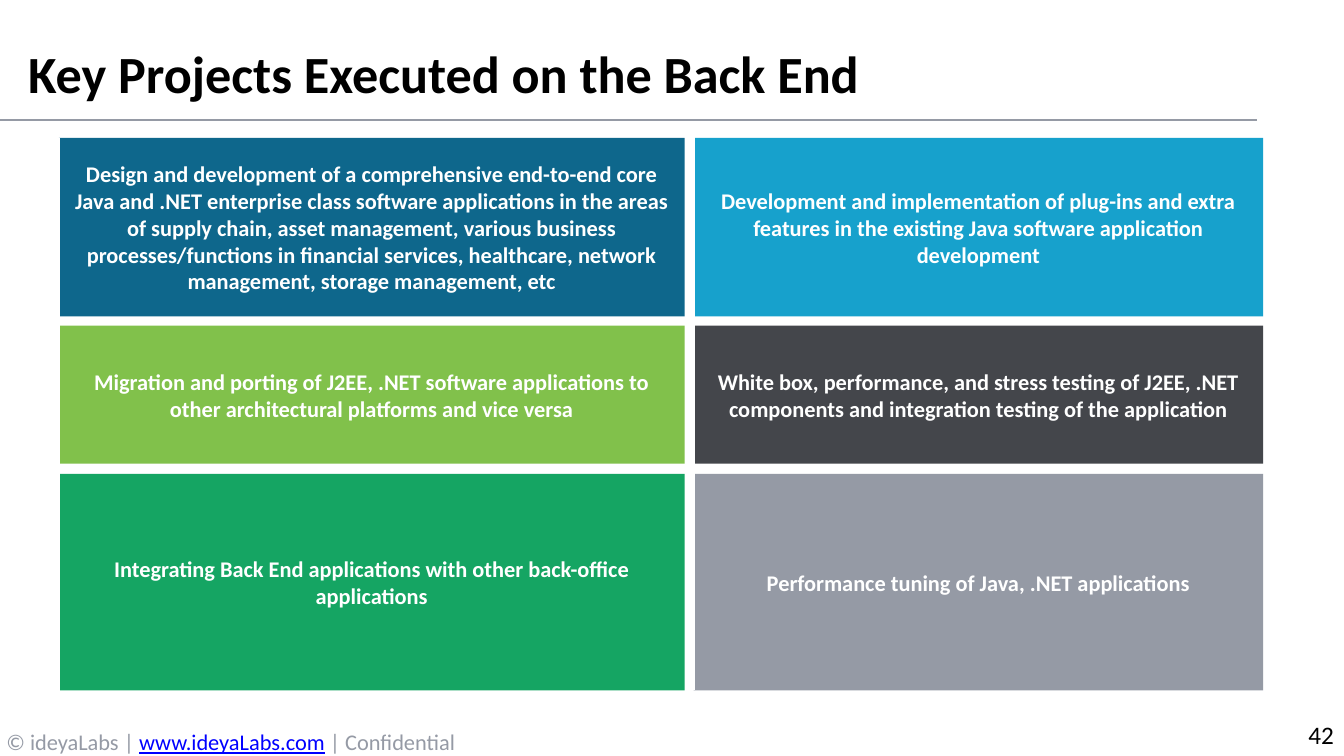
from lxml import etree
from pptx import Presentation
from pptx.dml.color import RGBColor
from pptx.enum.shapes import MSO_CONNECTOR, MSO_SHAPE
from pptx.enum.text import MSO_ANCHOR, PP_ALIGN
from pptx.oxml.ns import qn
from pptx.util import Pt

STRAIGHT = MSO_CONNECTOR.STRAIGHT
RECTANGLE = MSO_SHAPE.RECTANGLE
TOP, MIDDLE, BOTTOM = MSO_ANCHOR.TOP, MSO_ANCHOR.MIDDLE, MSO_ANCHOR.BOTTOM
LEFT, CENTER, RIGHT = PP_ALIGN.LEFT, PP_ALIGN.CENTER, PP_ALIGN.RIGHT

BLACK = RGBColor(0x00, 0x00, 0x00)
WHITE = RGBColor(0xFF, 0xFF, 0xFF)
GRAY = RGBColor(0x95, 0x9A, 0xA5)
LINK_BLUE = RGBColor(0x00, 0x00, 0xFF)
DARK_BLUE = RGBColor(0x0E, 0x67, 0x8C)
LIGHT_BLUE = RGBColor(0x17, 0xA1, 0xCC)
LIME = RGBColor(0x81, 0xC1, 0x4B)
CHARCOAL = RGBColor(0x44, 0x46, 0x4B)
GREEN = RGBColor(0x15, 0xA5, 0x63)

FONT = "Calibri"
TITLE_FORMAT = {"size": Pt(37.3), "bold": True}
NUMBER_FORMAT = {"size": Pt(18)}
FOOTER_FORMAT = {"size": Pt(16)}
PROJECT_FORMAT = {"size": Pt(16), "bold": True}

# (left, width) of each column and (top, height) of each row
COLUMNS = [(42, 447), (495.4, 406.8)]
ROWS = [(98.6, 127.5), (232.6, 98.6), (338.4, 154.8)]
PROJECTS = [
    [("Design and development of a comprehensive end-to-end core Java and .NET "
      "enterprise class software applications in the areas of supply chain, asset "
      "management, various business processes/functions in financial services, "
      "healthcare, network management, storage management, etc", DARK_BLUE),
     ("Development and implementation of plug-ins and extra features in the "
      "existing Java software application development", LIGHT_BLUE)],
    [("Migration and porting of J2EE, .NET software applications to other "
      "architectural platforms and vice versa", LIME),
     ("White box, performance, and stress testing of J2EE, .NET components and "
      "integration testing of the application", CHARCOAL)],
    [("Integrating Back End applications with other back-office applications", GREEN),
     ("Performance tuning of Java, .NET applications", GRAY)],
]


def write_text(shape, runs, font_format, alignment, anchor):
    """Fill the shape with one paragraph of (text, colour, underline) runs."""
    frame = shape.text_frame
    frame.word_wrap = True
    frame.vertical_anchor = anchor
    paragraph = frame.paragraphs[0]
    paragraph.alignment = alignment
    for text, color, underline in runs:
        run = paragraph.add_run()
        run.text = text
        values = {"name": FONT, "underline": underline, **font_format}
        for name, value in values.items():
            setattr(run.font, name, value)
        run.font.color.rgb = color


def add_text(slide, box, runs, font_format, alignment, anchor):
    shape = slide.shapes.add_textbox(*map(Pt, box))
    write_text(shape, runs, font_format, alignment, anchor)


def add_project(slide, box, text, color):
    shape = slide.shapes.add_shape(RECTANGLE, *map(Pt, box))
    shape.shadow.inherit = False
    shape.fill.solid()
    shape.fill.fore_color.rgb = color
    shape.line.fill.background()
    write_text(shape, [(text, WHITE, False)], PROJECT_FORMAT, CENTER, MIDDLE)


def add_line(slide, ends, color, width):
    line = slide.shapes.add_connector(STRAIGHT, *map(Pt, ends))
    line.line.color.rgb = color
    line.line.width = Pt(width)
    etree.SubElement(line._element.spPr, qn("a:effectLst"))


def main():
    presentation = Presentation()
    presentation.slide_width = Pt(960)
    presentation.slide_height = Pt(540)
    slide = presentation.slides.add_slide(presentation.slide_layouts[6])

    add_text(slide, (736, 510.5, 224, 28.8), [("42", BLACK, False)],
             NUMBER_FORMAT, RIGHT, TOP)
    add_line(slide, (0, 85.7, 898, 85.7), GRAY, 1)
    footer = [("© ideyaLabs | ", GRAY, False),
              ("www.ideyaLabs.com", LINK_BLUE, True),
              (" | Confidential", GRAY, False)]
    add_text(slide, (-7.2, 515.5, 344, 28.8), footer, FOOTER_FORMAT, CENTER, MIDDLE)
    add_text(slide, (13, 8.6, 864, 69.1),
             [("Key Projects Executed on the Back End", BLACK, False)],
             TITLE_FORMAT, LEFT, BOTTOM)

    for (top, height), projects in zip(ROWS, PROJECTS):
        for (left, width), (text, color) in zip(COLUMNS, projects):
            add_project(slide, (left, top, width, height), text, color)

    for (left, _), (top, bottom) in zip(COLUMNS, [(98.6, 504), (87.8, 493.2)]):
        add_line(slide, (left, top, left, bottom), WHITE, 1.5)

    presentation.save("out.pptx")


if __name__ == "__main__":
    main()
